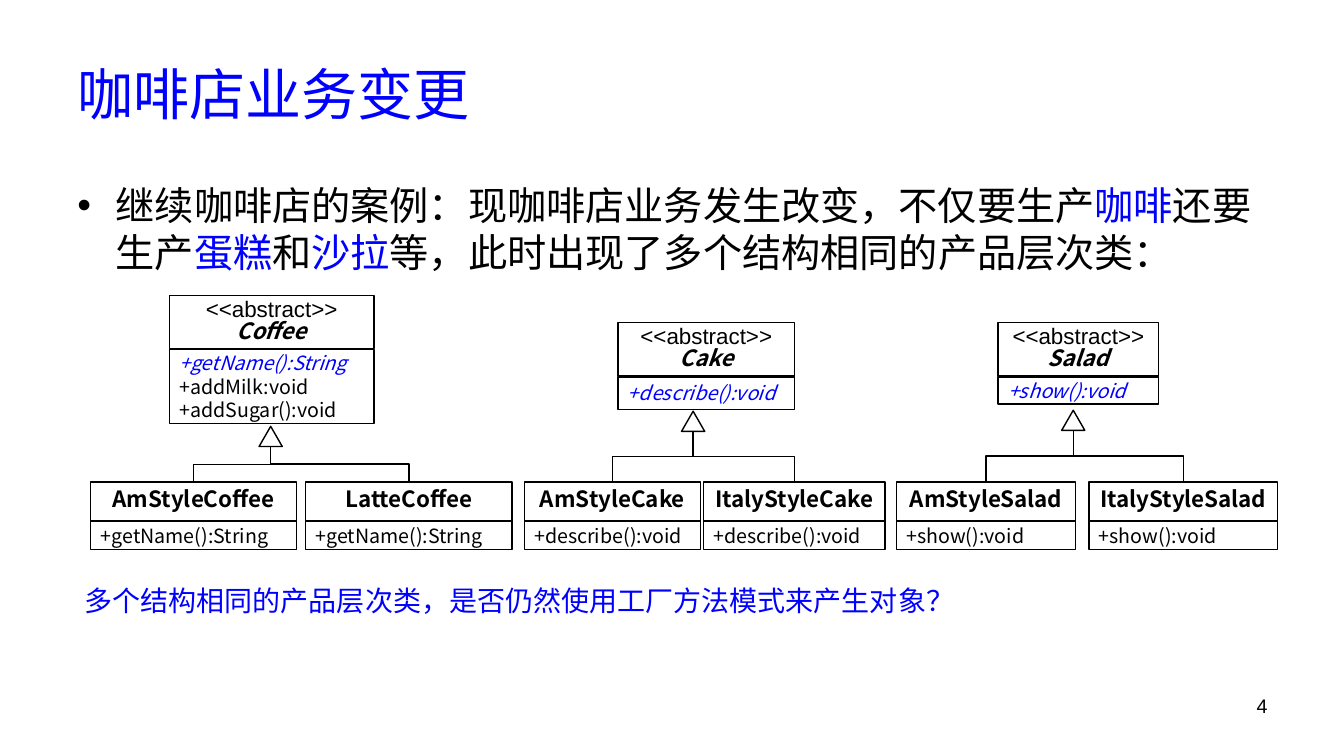
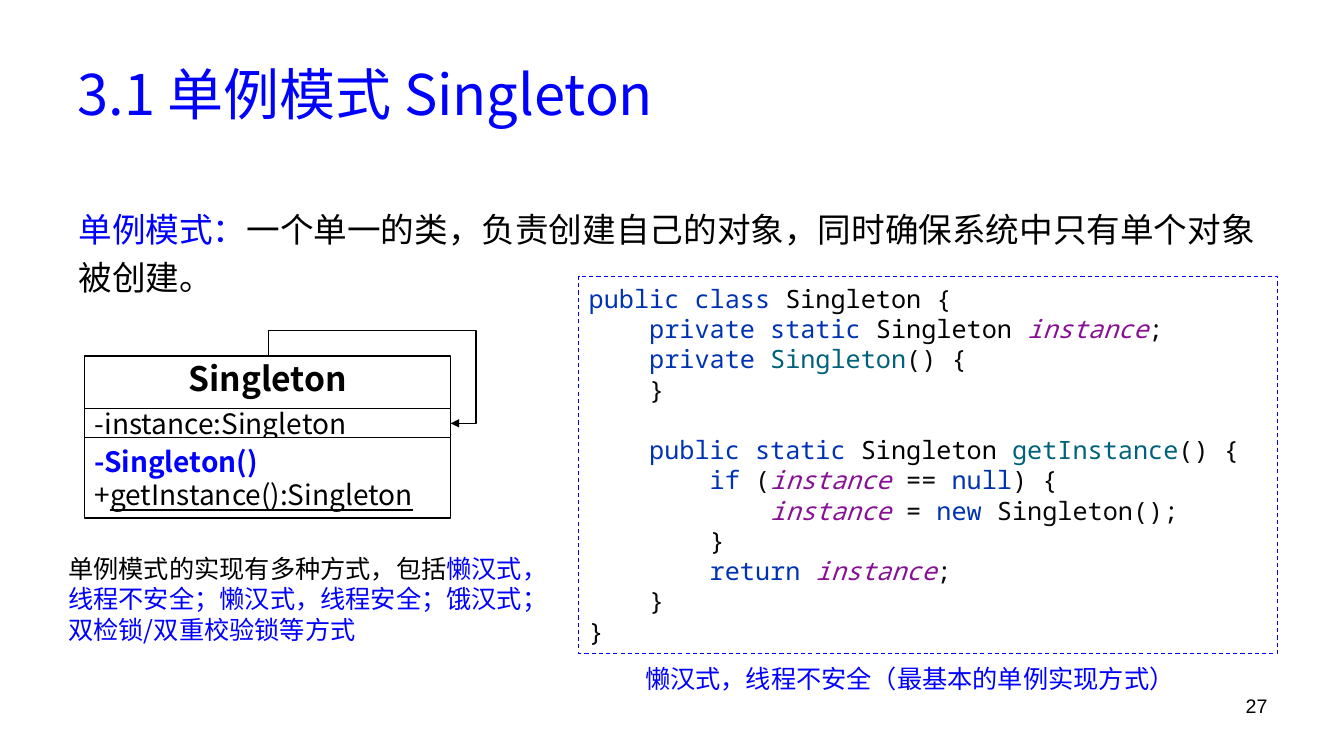
import pptx
import pptx.util
import pptx.dml.color
import pptx.enum.dml
import pptx.enum.shapes
import pptx.enum.text
import pptx.oxml.ns
from dataclasses import dataclass
from lxml import etree

Inches = pptx.util.Inches
Pt = pptx.util.Pt
RGB = pptx.dml.color.RGBColor.from_string
Align = pptx.enum.text.PP_ALIGN
Anchor = pptx.enum.text.MSO_ANCHOR
Shape = pptx.enum.shapes.MSO_SHAPE
qn = pptx.oxml.ns.qn


@dataclass(frozen=True)
class Theme:
    black: str = "000000"
    blue: str = "0000FF"
    white: str = "FFFFFF"
    code: str = "080808"
    key: str = "0033B3"
    field: str = "871094"
    call: str = "00627A"
    sans: str = "Noto Sans CJK SC"
    mono: str = "Noto Sans Mono"
    plain: str = "Arial"
    title: int = 40
    lead: int = 28
    large: int = 24
    note: int = 20
    text: int = 18
    name: int = 16
    small: int = 14


T = Theme()

# Run styles: colour, font, flags (b bold, i italic, u underline)
STYLES = {
    "text": (T.black, T.sans, ""),
    "blue": (T.blue, T.sans, ""),
    "bold": (T.black, T.sans, "b"),
    "boldblue": (T.blue, T.sans, "b"),
    "abstract": (T.black, T.sans, "bi"),
    "virtual": (T.blue, T.sans, "i"),
    "static": (T.black, T.sans, "u"),
    "plain": (T.black, T.plain, ""),
    "code": (T.code, T.mono, ""),
    "type": (T.black, T.mono, ""),
    "key": (T.key, T.mono, ""),
    "field": (T.field, T.mono, "i"),
    "call": (T.call, T.mono, ""),
}


def write(shape, paras, size, align=Align.LEFT, anchor=Anchor.MIDDLE, pitch=1.0):
    """Fill a shape with paragraphs, each a list of (text, style) runs."""
    frame = shape.text_frame
    frame.word_wrap = True
    frame.auto_size = pptx.enum.text.MSO_AUTO_SIZE.NONE
    frame.vertical_anchor = anchor
    for i, runs in enumerate(paras):
        para = frame.add_paragraph() if i else frame.paragraphs[0]
        para.alignment = align
        para.line_spacing = pitch
        for text, style in runs:
            color, font, flags = STYLES[style]
            run = para.add_run()
            run.text = text
            run.font.size = Pt(size)
            run.font.name = font
            run.font.color.rgb = RGB(color)
            run.font.bold = "b" in flags
            run.font.italic = "i" in flags
            run.font.underline = "u" in flags
            east = etree.SubElement(run.font._element, qn("a:ea"))
            east.set("typeface", font)


def bend(slide, start, end, loop=None):
    """Draw an elbow that leaves vertically; loop gives its two adjustments."""
    dx, dy = end[0] - start[0], end[1] - start[1]
    wide, high = abs(dy), abs(dx)
    left = (start[0] + end[0] - wide) / 2
    top = (start[1] + end[1] - high) / 2
    line = slide.shapes.add_connector(
        pptx.enum.shapes.MSO_CONNECTOR.ELBOW,
        Inches(left), Inches(top), Inches(left + wide), Inches(top + high))
    line.line.color.rgb = RGB(T.black)
    line.line.width = Pt(1)
    props = line._element.spPr
    etree.SubElement(props, qn("a:effectLst"))
    frame = props.find(qn("a:xfrm"))
    frame.set("rot", str(270 * 60000))
    if dy > 0:
        frame.set("flipH", "1")
    if dx < 0:
        frame.set("flipV", "1")
    if loop:
        geom = props.find(qn("a:prstGeom"))
        geom.set("prst", "bentConnector4")
        for i, value in enumerate(loop, 1):
            guide = etree.SubElement(geom.find(qn("a:avLst")), qn("a:gd"))
            guide.set("name", f"adj{i}")
            guide.set("fmla", f"val {value}")
        tail = etree.SubElement(props.find(qn("a:ln")), qn("a:tailEnd"))
        tail.set("type", "triangle")


deck = pptx.Presentation()
deck.slide_width, deck.slide_height = Inches(13.33), Inches(7.5)

# Titles and page numbers
slides = []
for title, page in (("咖啡店业务变更", "4"), ("3.1 单例模式 Singleton", "27")):
    slide = deck.slides.add_slide(deck.slide_layouts[5])
    head = slide.shapes.title
    head.left, head.top = Inches(0.67), Inches(0.3)
    head.width, head.height = Inches(12), Inches(1.25)
    write(head, [[(title, "blue")]], T.title)
    foot = slide.shapes.add_textbox(
        Inches(9.56), Inches(6.83), Inches(3.11), Inches(0.52))
    write(foot, [[(page, "plain")]], T.small, Align.RIGHT, Anchor.TOP)
    slides.append(slide)
cafe, single = slides

# Bulleted lead
lead = cafe.shapes.add_textbox(Inches(0.67), Inches(1.75), Inches(12), Inches(1.1))
write(lead, [[
    ("继续咖啡店的案例：现咖啡店业务发生改变，不仅要生产", "text"),
    ("咖啡", "blue"), ("还要生产", "text"), ("蛋糕", "blue"),
    ("和", "text"), ("沙拉", "blue"),
    ("等，此时出现了多个结构相同的产品层次类：", "text"),
]], T.lead, anchor=Anchor.TOP)
para = lead.text_frame.paragraphs[0]
para.space_before = Pt(6.7)
props = para._p.get_or_add_pPr()
props.set("marL", str(Inches(0.38)))
props.set("indent", str(-Inches(0.38)))
etree.SubElement(props, qn("a:buFont")).set("typeface", T.plain)
etree.SubElement(props, qn("a:buChar")).set("char", "•")

# Plain notes: slide, place, runs, size, line pitch
notes = [
    (cafe, (0.74, 5.74, 9, 0.44),
     [("多个结构相同的产品层次类，是否仍然使用工厂方法模式来产生对象？", "blue")],
     T.note, 1),
    (single, (0.68, 1.94, 11.99, 1.03),
     [("单例模式：", "blue"),
      ("一个单一的类，负责创建自己的对象，同时确保系统中只有单个对象被创建。", "text")],
     T.large, 1.2),
    (single, (6.3, 6.53, 5.6, 0.4),
     [("懒汉式，线程不安全（最基本的单例实现方式）", "blue")], T.text, 1),
    (single, (0.58, 5.44, 4.93, 1.31),
     [("单例模式的实现有多种方式，包括", "text"),
      ("懒汉式，线程不安全；懒汉式，线程安全；饿汉式；双检锁/双重校验锁等方式", "blue")],
     T.text, 1),
]
for slide, place, runs, size, pitch in notes:
    box = slide.shapes.add_textbox(*map(Inches, place))
    write(box, [runs], size, anchor=Anchor.TOP, pitch=pitch)

# Class families: name, place, methods, body height, arrow place, children
families = [
    ("Coffee", (1.68, 2.93, 2.03),
     ["+getName():String", "+addMilk:void", "+addSugar():void"], 0.73, (2.57, 4.23),
     [("AmStyleCoffee", 0.9, 2.04), ("LatteCoffee", 3.03, 2.05)]),
    ("Cake", (6.13, 3.2, 1.75), ["+describe():void"], 0.32, (6.76, 4.08),
     [("AmStyleCake", 5.2, 1.75), ("ItalyStyleCake", 6.98, 1.8)]),
    ("Salad", (9.9, 3.2, 1.59), ["+show():void"], 0.27, (10.53, 4.07),
     [("AmStyleSalad", 8.89, 1.78), ("ItalyStyleSalad", 10.8, 1.87)]),
]
HEAD, ROW = 4.78, 0.39

# Boxes: slide, place, paragraphs, size, is a class name
boxes = []
for name, (left, top, wide), methods, high, arrow, kids in families:
    boxes.append((cafe, (left, top, wide, 0.53),
                  [[("<<abstract>>", "plain")], [(name, "abstract")]], T.name, True))
    body = [[(item, "text" if i else "virtual")] for i, item in enumerate(methods)]
    boxes.append((cafe, (left, top + 0.54, wide, high), body, T.small, False))
    for kid, x, w in kids:
        boxes.append((cafe, (x, HEAD, w, ROW), [[(kid, "bold")]], T.name, True))
        boxes.append((cafe, (x, HEAD + ROW, w, 0.28),
                      [[(methods[0], "text")]], T.small, False))

boxes += [
    (single, (0.84, 3.53, 3.63, 0.52), [[("Singleton", "bold")]], T.large, True),
    (single, (0.84, 4.05, 3.63, 0.3),
     [[("-instance:Singleton", "text")]], T.note, False),
    (single, (0.84, 4.34, 3.63, 0.8),
     [[("-Singleton()", "boldblue")],
      [("+", "text"), ("getInstance():Singleton", "static")]], T.note, False),
]
for slide, place, paras, size, named in boxes:
    box = slide.shapes.add_shape(Shape.RECTANGLE, *map(Inches, place))
    box.shadow.inherit = False
    box.fill.solid()
    box.fill.fore_color.rgb = RGB(T.white)
    box.line.color.rgb = RGB(T.black)
    box.line.width = Pt(1)
    write(box, paras, size, Align.CENTER if named else Align.LEFT,
          pitch=0.8 if named else 1)

# Inheritance arrows
for *_, (left, top), kids in families:
    tip = cafe.shapes.add_shape(
        Shape.ISOSCELES_TRIANGLE, Inches(left), Inches(top), Inches(0.23), Inches(0.2))
    tip.shadow.inherit = False
    tip.fill.solid()
    tip.fill.fore_color.rgb = RGB(T.white)
    tip.line.color.rgb = RGB(T.black)
    tip.line.width = Pt(1)
    for _, x, w in kids:
        bend(cafe, (x + w / 2, HEAD), (left + 0.115, top + 0.2))

# Self reference of the single class
bend(single, (2.66, 3.53), (4.47, 4.2), loop=(-37100, 113800))

# Code panel: indent level, runs
code = [
    (0, [("public class ", "key"), ("Singleton ", "type"), ("{", "code")]),
    (1, [("private static ", "key"), ("Singleton ", "type"),
         ("instance", "field"), (";", "code")]),
    (1, [("private ", "key"), ("Singleton", "call"), ("() {", "code")]),
    (1, [("}", "code")]),
    (1, [("public static ", "key"), ("Singleton ", "type"),
         ("getInstance", "call"), ("() {", "code")]),
    (2, [("if ", "key"), ("(", "code"), ("instance ", "field"), ("== ", "code"),
         ("null", "key"), (") {", "code")]),
    (3, [("instance ", "field"), ("= ", "code"), ("new ", "key"),
         ("Singleton();", "code")]),
    (2, [("}", "code")]),
    (2, [("return ", "key"), ("instance", "field"), (";", "code")]),
    (1, [("}", "code")]),
    (0, [("}", "code")]),
]
panel = single.shapes.add_shape(
    Shape.RECTANGLE, Inches(5.74), Inches(2.74), Inches(6.93), Inches(3.74))
panel.shadow.inherit = False
panel.fill.background()
panel.line.color.rgb = RGB(T.blue)
panel.line.width = Pt(0.75)
panel.line.dash_style = pptx.enum.dml.MSO_LINE.DASH
write(panel, [runs for _, runs in code], T.text)
lines = panel.text_frame.paragraphs
for para, (level, _) in zip(lines, code):
    para._p.get_or_add_pPr().set("marL", str(Inches(0.6 * level)))
lines[4].space_before = Pt(21.6)

deck.save("out.pptx")
